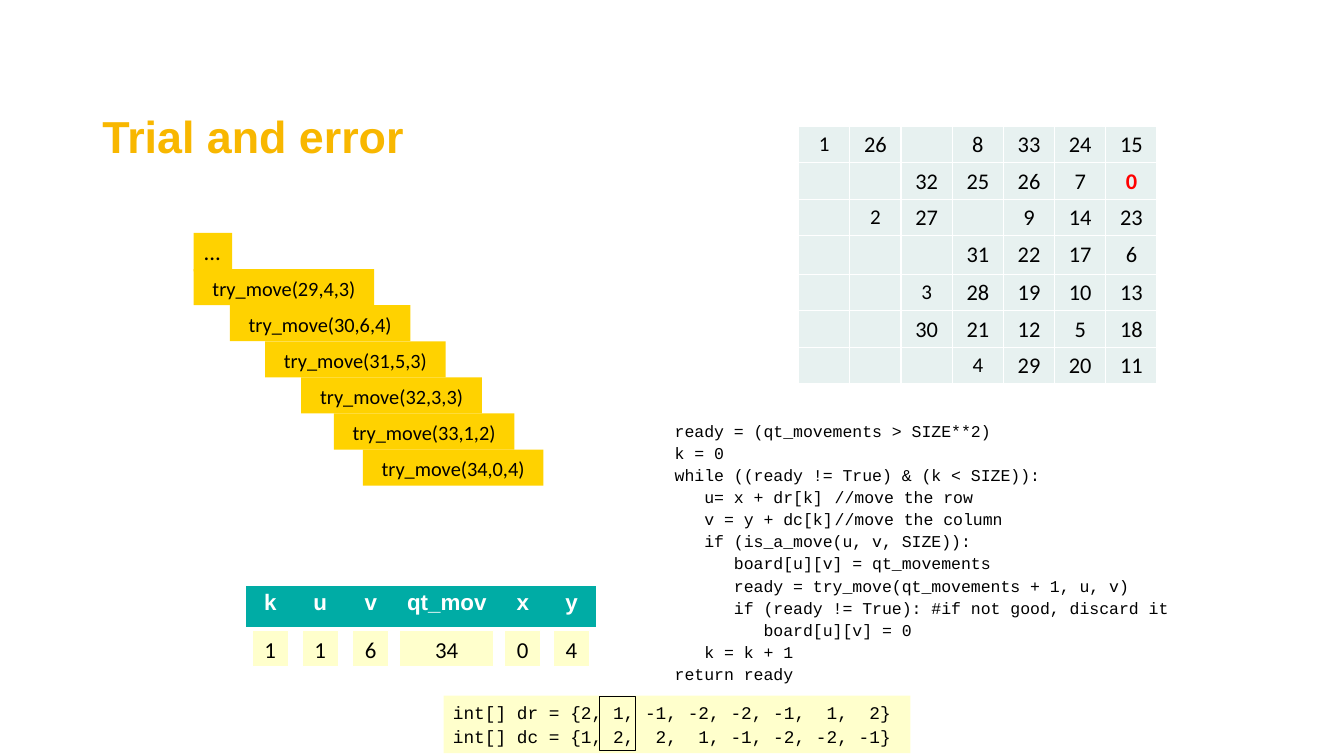
from lxml import etree
from pptx import Presentation
from pptx import util as u
from pptx.dml.color import RGBColor
from pptx.enum import shapes, text
from pptx.oxml.ns import qn

TITLE = "Trial and error"
CALLS = [
    (4.88, "try_move(29,4,3)"),
    (5.79, "try_move(30,6,4)"),
    (6.68, "try_move(31,5,3)"),
    (7.59, "try_move(32,3,3)"),
    (8.41, "try_move(33,1,2)"),
    (9.14, "try_move(34,0,4)"),
]
BOARD = [
    ["1", "26", "", "8", "33", "24", "15"],
    ["", "", "32", "25", "26", "7", "0"],
    ["", "2", "27", "", "9", "14", "23"],
    ["", "", "", "31", "22", "17", "6"],
    ["", "", "3", "28", "19", "10", "13"],
    ["", "", "30", "21", "12", "5", "18"],
    ["", "", "", "4", "29", "20", "11"],
]
SMALL = {"1", "2", "3", "4"}
STATE = [
    ("k", "1", 1.22, 0.91),
    ("u", "1", 1.3, 0.91),
    ("v", "6", 1.24, 0.91),
    ("qt_mov", "34", 2.59, 2.36),
    ("x", "0", 1.24, 0.91),
    ("y", "4", 1.22, 0.91),
]
CODE = """ready = (qt_movements > SIZE**2)
k = 0
while ((ready != True) & (k < SIZE)):
   u= x + dr[k]\t//move the row
   v = y + dc[k]\t//move the column
   if (is_a_move(u, v, SIZE)):
      board[u][v] = qt_movements
      ready = try_move(qt_movements + 1, u, v)
      if (ready != True): #if not good, discard it
         board[u][v] = 0
   k = k + 1
return ready"""
STEPS = """int[] dr = {2, 1, -1, -2, -2, -1,  1,  2}
int[] dc = {1, 2,  2,  1, -1, -2, -2, -1}"""

GOLD, CREAM, TEAL, MIST = "FFD200", "FFFFCC", "00ACA5", "E7F1F0"
BLACK, WHITE, RED, AMBER = "000000", "FFFFFF", "FF0000", "F8B700"
MONO = "Courier New"
MID = text.MSO_ANCHOR.MIDDLE
UNIT = 0.91


def paint(fill, hue):
    fill.solid()
    fill.fore_color.rgb = RGBColor.from_string(hue)


def write(frame, words, size=16, font="Calibri", hue=BLACK, bold=False,
          center=True, lead=None, tab=None):
    for i, line in enumerate(words.split("\n")):
        para = frame.paragraphs[0] if i == 0 else frame.add_paragraph()
        para.alignment = text.PP_ALIGN.CENTER if center else text.PP_ALIGN.LEFT
        if lead:
            para.line_spacing = lead
        if tab:
            stops = etree.SubElement(para._p.get_or_add_pPr(), qn("a:tabLst"))
            etree.SubElement(stops, qn("a:tab"), pos=str(u.Cm(tab)), algn="l")
        run = para.add_run()
        run.text = line
        run.font.size = u.Pt(size)
        run.font.name = font
        run.font.bold = bold
        run.font.color.rgb = RGBColor.from_string(hue)


def inset(item, side, top, base):
    item.margin_left = item.margin_right = u.Cm(side)
    item.margin_top, item.margin_bottom = u.Cm(top), u.Cm(base)


def box(x, y, w, h, fill=None, line=None):
    rect = slide.shapes.add_shape(shapes.MSO_SHAPE.RECTANGLE, *map(u.Cm, (x, y, w, h)))
    rect.shadow.inherit = False
    if fill:
        paint(rect.fill, fill)
    else:
        rect.fill.background()
    if line:
        paint(rect.line.fill, line)
        rect.line.width = u.Pt(0.75)
    else:
        rect.line.fill.background()
    return rect


def label(words, x, y, w, fill, size, line=None):
    frame = box(x, y, w, UNIT, fill, line).text_frame
    frame.word_wrap = False
    frame.vertical_anchor = MID
    inset(frame, 0.23, 0.15, 0.1)
    write(frame, words, size)


def prose(words, x, y, w, h, **form):
    frame = slide.shapes.add_textbox(*map(u.Cm, (x, y, w, h))).text_frame
    frame.word_wrap = True
    inset(frame, 0.24, 0.1, 0.1)
    write(frame, words, center=False, **form)
    return frame


def edge(cell, hue=None):
    props = cell._tc.get_or_add_tcPr()
    for i, side in enumerate(("lnL", "lnR", "lnT", "lnB")):
        rule = etree.Element(qn("a:" + side), w=str(u.Pt(1)))
        if hue:
            fill = etree.SubElement(rule, qn("a:solidFill"))
            etree.SubElement(fill, qn("a:srgbClr"), val=hue)
        else:
            etree.SubElement(rule, qn("a:noFill"))
        props.insert(i, rule)


def grid(x, y, wide, high, fill, rim=None):
    size = map(u.Cm, (x, y, sum(wide), sum(high)))
    table = slide.shapes.add_table(len(high), len(wide), *size).table
    table.first_row = table.horz_banding = False
    for col, w in zip(table.columns, wide):
        col.width = u.Cm(w)
    for row, h in zip(table.rows, high):
        row.height = u.Cm(h)
    for cell in table.iter_cells():
        inset(cell, 0, 0, 0)
        paint(cell.fill, fill)
        edge(cell, rim)
    return table


def enter(cell, words, **form):
    inset(cell, 0.23, 0.15, 0.13)
    write(cell.text_frame, words, lead=0.93, **form)


deck = Presentation()
deck.slide_width, deck.slide_height = u.Cm(33.86), u.Cm(19.05)
slide = deck.slides.add_slide(deck.slide_layouts[6])

steps = box(11.18, 17.53, 11.76, 1.45, CREAM).text_frame
steps.word_wrap = True
steps.vertical_anchor = text.MSO_ANCHOR.TOP
inset(steps, 0.23, 0.1, 0.1)
write(steps, STEPS, 12.7, MONO, center=False, lead=1.12)

prose(CODE, 16.76, 10.44, 13.26, 6.88, size=11.8, font=MONO, lead=1.12, tab=4.03)
head = prose(TITLE, 2.34, 1.27, 10.92, 4.45, size=32, font="Arial",
             hue=AMBER, bold=True, lead=0.9)
head.vertical_anchor = MID

board = grid(20.12, 3.18, [1.29] * 7, [0.92] * 3 + [0.97] + [0.92] * 3, MIST, WHITE)
for r, row in enumerate(BOARD):
    for c, move in enumerate(row):
        if move:
            zero = move == "0"
            enter(board.cell(r, c), move, size=15 if move in SMALL else 16,
                  hue=RED if zero else BLACK, bold=zero)

for i, (x, call) in enumerate(CALLS):
    label(call, x, 6.78 + i * UNIT, 4.55, GOLD, 14.5)
dots = box(4.88, 5.87, 0.97, 0.97, GOLD).text_frame
dots.word_wrap = False
dots.vertical_anchor = text.MSO_ANCHOR.TOP
write(dots, "...", 16.3, center=False)

x = 6.2
state = grid(x, 14.76, [w for _, _, w, _ in STATE], [1.04], TEAL)
for c, (name, value, wide, span) in enumerate(STATE):
    enter(state.cell(0, c), name, font="Arial", hue=WHITE, bold=True)
    label(value, x + (wide - span) / 2, 15.88, span, CREAM, 16.3, WHITE)
    x += wide

box(15.11, 17.55, UNIT, 1.37, line=BLACK)
deck.save("out.pptx")
